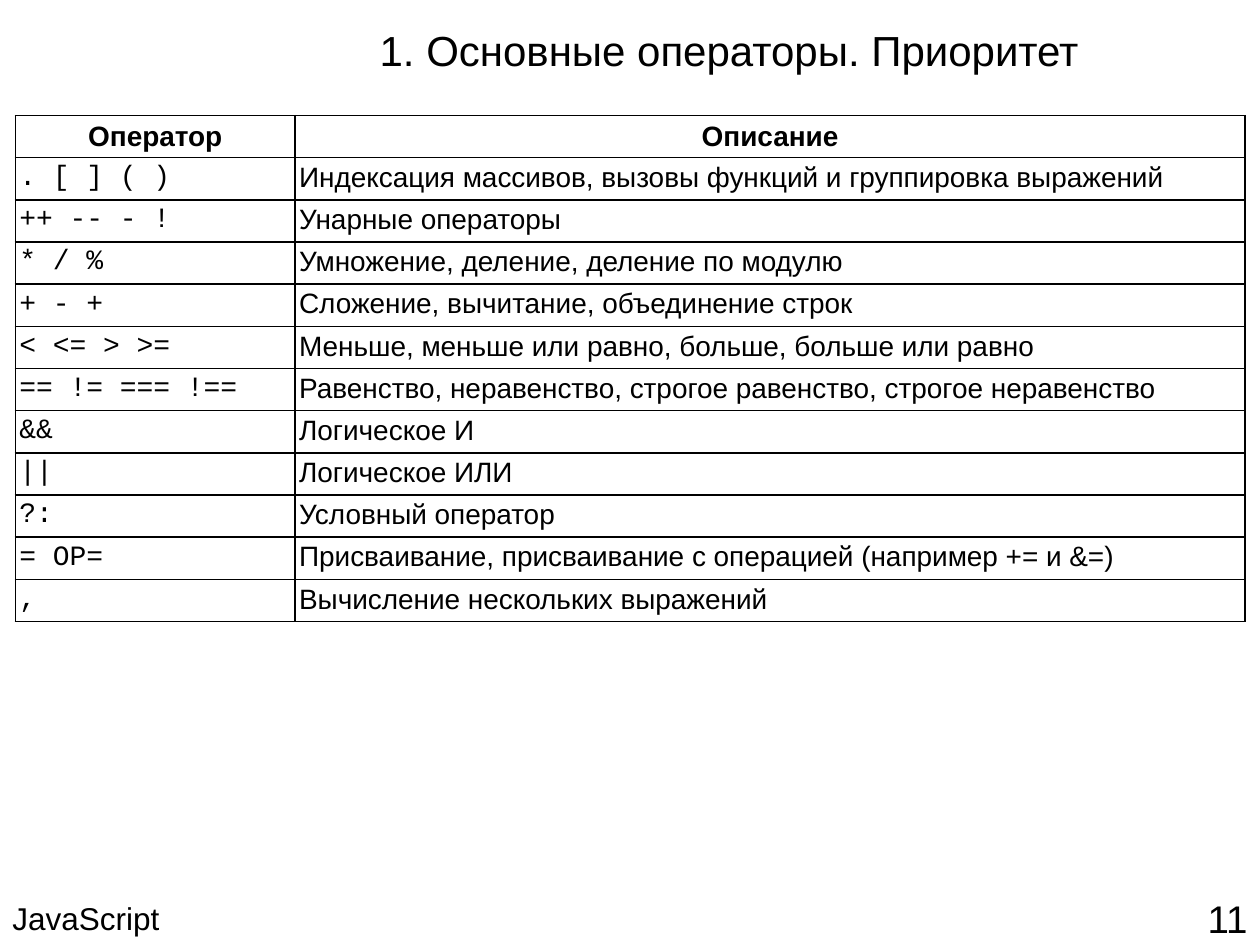
import pptx
import pptx.util
import pptx.dml.color
import pptx.enum.text
import pptx.oxml
import pptx.oxml.ns

Cm = pptx.util.Cm
Pt = pptx.util.Pt
ALIGN = pptx.enum.text.PP_ALIGN
ANCHOR = pptx.enum.text.MSO_ANCHOR

BLACK = "000000"
SANS, MONO = "Arial", "Courier New"
COLUMN_WIDTHS = (5.64, 19.15)
ROW_HEIGHT = 0.85
HEADER = ("Оператор", "Описание")
OPERATORS = [
    (". [ ] ( )", "Индексация массивов, вызовы функций и группировка выражений"),
    ("++ -- - !", "Унарные операторы"),
    ("* / %", "Умножение, деление, деление по модулю"),
    ("+ - +", "Сложение, вычитание, объединение строк"),
    ("< <= > >=", "Меньше, меньше или равно, больше, больше или равно"),
    ("== != === !==", "Равенство, неравенство, строгое равенство, строгое неравенство"),
    ("&&", "Логическое И"),
    ("||", "Логическое ИЛИ"),
    ("?:", "Условный оператор"),
    ("=\u00a0OP=", "Присваивание, присваивание с операцией (например += и &=)"),
    (",", "Вычисление нескольких выражений"),
]


def rgb(value):
    return pptx.dml.color.RGBColor.from_string(value)


def set_attrs(obj, values):
    for name, value in values.items():
        setattr(obj, name, value)


def write(tf, text, size, align=ALIGN.LEFT, font=SANS, bold=False):
    p = tf.paragraphs[0]
    p.alignment = align
    r = p.add_run()
    r.text = text
    set_attrs(r.font, {"name": font, "size": Pt(size), "bold": bold})
    r.font.color.rgb = rgb(BLACK)


def add_text(s, box, text, size, align=ALIGN.LEFT, anchor=ANCHOR.MIDDLE):
    tf = s.shapes.add_textbox(*map(Cm, box)).text_frame
    set_attrs(tf, {"word_wrap": True, "vertical_anchor": anchor})
    write(tf, text, size, align)


def set_borders(cell, color, width):
    tcPr = cell._tc.get_or_add_tcPr()
    for i, side in enumerate(("lnL", "lnR", "lnT", "lnB")):
        tcPr.insert(i, pptx.oxml.parse_xml(
            f'<a:{side} {pptx.oxml.ns.nsdecls("a")} w="{Pt(width)}"><a:solidFill>'
            f'<a:srgbClr val="{color}"/></a:solidFill></a:{side}>'))


def fill_cell(cell, text, header, font):
    set_attrs(cell, {
        "margin_left": Cm(0.08), "margin_right": Cm(0.08),
        "margin_top": Cm(0.09), "margin_bottom": Cm(0.08),
        "vertical_anchor": ANCHOR.MIDDLE if header else ANCHOR.TOP,
    })
    cell.fill.background()
    set_borders(cell, BLACK, 1)
    if header:
        write(cell.text_frame, text, 16, ALIGN.CENTER, bold=True)
    else:
        write(cell.text_frame, text, 16, font=font)


def add_operator_table(s, left, top):
    rows = [HEADER] + OPERATORS
    table = s.shapes.add_table(
        len(rows), len(HEADER), Cm(left), Cm(top),
        Cm(sum(COLUMN_WIDTHS)), Cm(ROW_HEIGHT * len(rows))).table
    set_attrs(table, {"first_row": False, "horz_banding": False})
    for column, width in zip(table.columns, COLUMN_WIDTHS):
        column.width = Cm(width)
    for i, texts in enumerate(rows):
        table.rows[i].height = Cm(ROW_HEIGHT)
        for j, (text, font) in enumerate(zip(texts, (MONO, SANS))):
            fill_cell(table.cell(i, j), text, i == 0, font)


def main():
    prs = pptx.Presentation()
    set_attrs(prs, {"slide_width": Cm(25.4), "slide_height": Cm(19.05)})
    s = prs.slides.add_slide(prs.slide_layouts[6])
    add_text(s, (4, 0, 21.4, 2), "1. Основные операторы. Приоритет", 24, ALIGN.CENTER)
    add_operator_table(s, 0.31, 2.33)
    add_text(s, (23.4, 18, 2, 1), "11", 22, ALIGN.RIGHT)
    add_text(s, (0, 18, 23.4, 1.02), "JavaScript", 18, anchor=ANCHOR.TOP)
    prs.save("out.pptx")


main()
